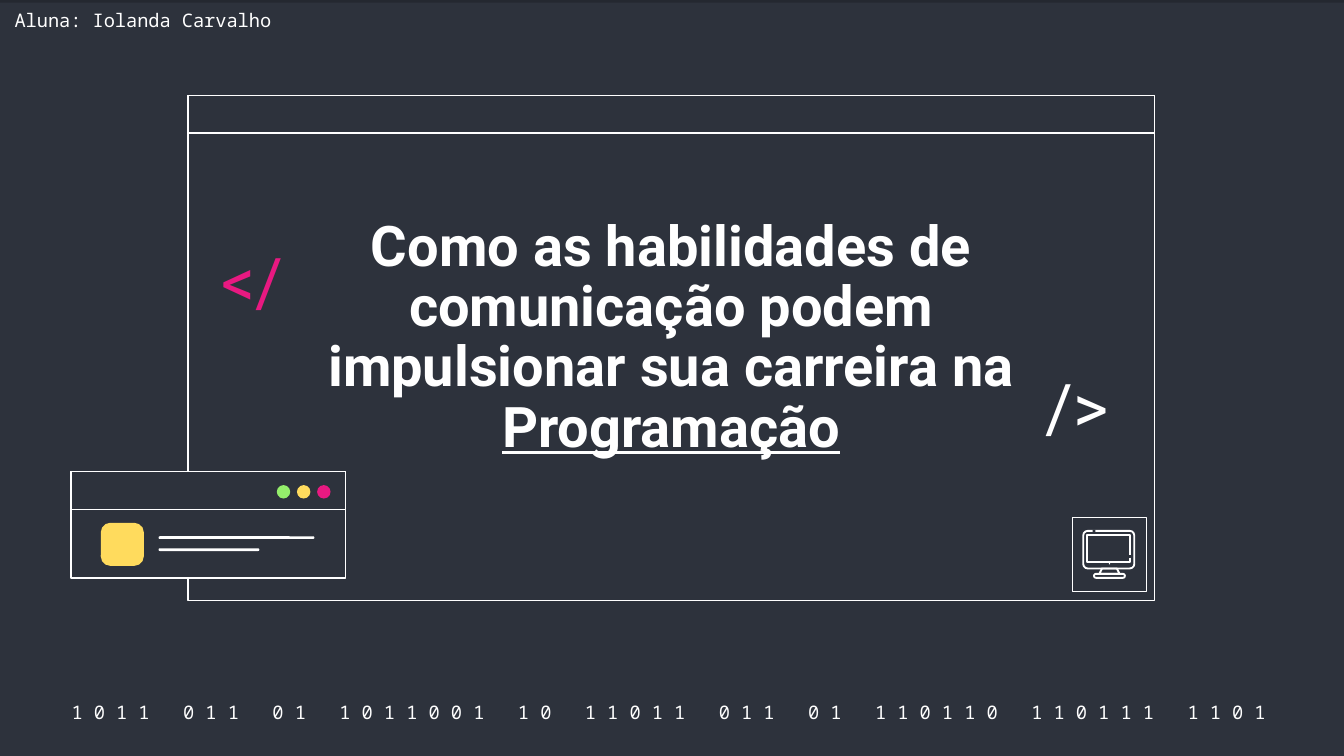
from pptx import Presentation
from pptx.dml.color import RGBColor
from pptx.enum.shapes import MSO_SHAPE
from pptx.enum.text import MSO_ANCHOR, MSO_AUTO_SIZE, PP_ALIGN
from pptx.util import Inches, Pt

COLORS = {
    "background": "2D323C",
    "strip": "242830",
    "white": "FFFFFF",
    "pink": "E81981",
    "yellow": "FFDB5D",
    "green": "94EE6B",
}
FONT = "Roboto"
MONO = "Noto Sans Mono"


class SlideBuilder:
    def __init__(self, slide):
        self.slide = slide
        slide.background.fill.solid()
        slide.background.fill.fore_color.rgb = self.color("background")

    def color(self, name):
        return RGBColor.from_string(COLORS[name])

    def paint(self, shape, fill, line, weight):
        shape.shadow.inherit = False
        if fill:
            shape.fill.solid()
            shape.fill.fore_color.rgb = self.color(fill)
        else:
            shape.fill.background()
        if line:
            shape.line.color.rgb = self.color(line)
            shape.line.width = Pt(weight)
        else:
            shape.line.fill.background()

    def shape(self, box, fill=None, line=None, kind=MSO_SHAPE.RECTANGLE, weight=0.75, radius=None):
        shape = self.slide.shapes.add_shape(kind, *[Inches(value) for value in box])
        self.paint(shape, fill, line, weight)
        if radius is not None:
            shape.adjustments[0] = radius

    def rounded(self, box, fill=None, line=None, radius=0.5, weight=1):
        self.shape(box, fill, line, MSO_SHAPE.ROUNDED_RECTANGLE, weight, radius)

    def window(self, left, top, width, height, bar):
        self.shape((left, top, width, height), "background", "white")
        self.shape((left, top, width, bar), "background", "white")

    def outline(self, points, close, weight=1):
        start, *rest = [(Inches(x), Inches(y)) for x, y in points]
        builder = self.slide.shapes.build_freeform(*start)
        builder.add_line_segments(rest, close=close)
        self.paint(builder.convert_to_shape(), None, "white", weight)

    def format_run(self, run, size, font, color, bold=False):
        run.font.size = Pt(size)
        run.font.name = font
        run.font.bold = bold
        run.font.color.rgb = self.color(color)

    def text(self, box, text, size, font=FONT, color="white", align=PP_ALIGN.LEFT,
             anchor=MSO_ANCHOR.MIDDLE, inset=0.1, spacing=1.0):
        shape = self.slide.shapes.add_textbox(*[Inches(value) for value in box])
        frame = shape.text_frame
        frame.word_wrap = True
        frame.vertical_anchor = anchor
        frame.margin_top = frame.margin_bottom = Inches(inset)
        frame.text = text
        paragraph = frame.paragraphs[0]
        paragraph.alignment = align
        paragraph.line_spacing = spacing
        self.format_run(paragraph.runs[0], size, font, color)

    def title(self, box, text, underlined):
        title = self.slide.shapes.title
        title.element.getparent().append(title.element)
        title.left, title.top, title.width, title.height = [Inches(value) for value in box]
        frame = title.text_frame
        frame.word_wrap = True
        frame.auto_size = MSO_AUTO_SIZE.NONE
        frame.vertical_anchor = MSO_ANCHOR.BOTTOM
        frame.margin_left = frame.margin_right = Inches(0.1)
        frame.margin_top = frame.margin_bottom = Inches(0.1)
        frame.text = text
        paragraph = frame.paragraphs[0]
        paragraph.alignment = PP_ALIGN.CENTER
        paragraph.line_spacing = 0.9
        last_run = paragraph.add_run()
        last_run.text = underlined
        last_run.font.underline = True
        for run in paragraph.runs:
            self.format_run(run, 30, FONT, "white", bold=True)

    def monitor(self):
        self.shape((7.98, 3.85, 0.55, 0.55), line="white")
        self.rounded((8.06, 3.95, 0.38, 0.28), line="white", radius=0.12)
        self.shape((8.13, 3.94, 0.02, 0.02), "background")
        self.outline([(8.41, 4.15), (8.41, 4.18), (8.09, 4.18),
                      (8.09, 3.98), (8.41, 3.98), (8.41, 4.13)], close=False)
        self.shape((8.25, 4.19, 0.01, 0.01), "white", kind=MSO_SHAPE.OVAL)
        self.outline([(8.2, 4.23), (8.31, 4.23), (8.33, 4.27), (8.18, 4.27)], close=True)
        self.rounded((8.14, 4.27, 0.23, 0.03), "background", "white")


def main():
    presentation = Presentation()
    presentation.slide_width = Inches(10)
    presentation.slide_height = presentation.slide_width * 9 // 16
    slide = presentation.slides.add_slide(presentation.slide_layouts[0])
    subtitle = slide.placeholders[1].element
    subtitle.getparent().remove(subtitle)
    builder = SlideBuilder(slide)

    builder.shape((0, 0, 10, 0.45), "strip")
    groups = "1011 011 01 1011001 10 11011 011 01 110110 110111 1101".split()
    binary = "   ".join(" ".join(group) for group in groups) + " "
    builder.text((0.38, 5.2, 9.27, 0.2), binary, 10, MONO, align=PP_ALIGN.CENTER)

    builder.window(1.4, 0.71, 7.19, 3.76, 0.28)
    builder.text((1.55, 1.79, 0.77, 0.66), "</", 36, color="pink", spacing=0.9)
    builder.text((7.68, 2.73, 0.77, 0.66), "/>", 36, spacing=0.9)
    builder.title((2.25, 1.54, 5.49, 1.98),
                  "Como as habilidades de comunicação podem impulsionar sua carreira na ",
                  "Programação")

    builder.window(0.53, 3.51, 2.04, 0.79, 0.28)
    builder.rounded((0.75, 3.89, 0.32, 0.32), "yellow", radius=0.22)
    for top, width in ((3.99, 1.16), (4.08, 0.75)):
        builder.rounded((1.18, top, width, 0.02), "white")
    for index, color in enumerate(("green", "yellow", "pink")):
        builder.shape((2.06 + 0.15 * index, 3.61, 0.1, 0.1), color, kind=MSO_SHAPE.OVAL)

    builder.monitor()

    builder.shape((0, 0.02, 10, 0.47), "background")
    builder.text((0.01, 0.02, 2.15, 0.27), "Aluna: Iolanda Carvalho", 10, MONO,
                 anchor=MSO_ANCHOR.TOP, inset=0.05)
    presentation.save("out.pptx")


if __name__ == "__main__":
    main()
